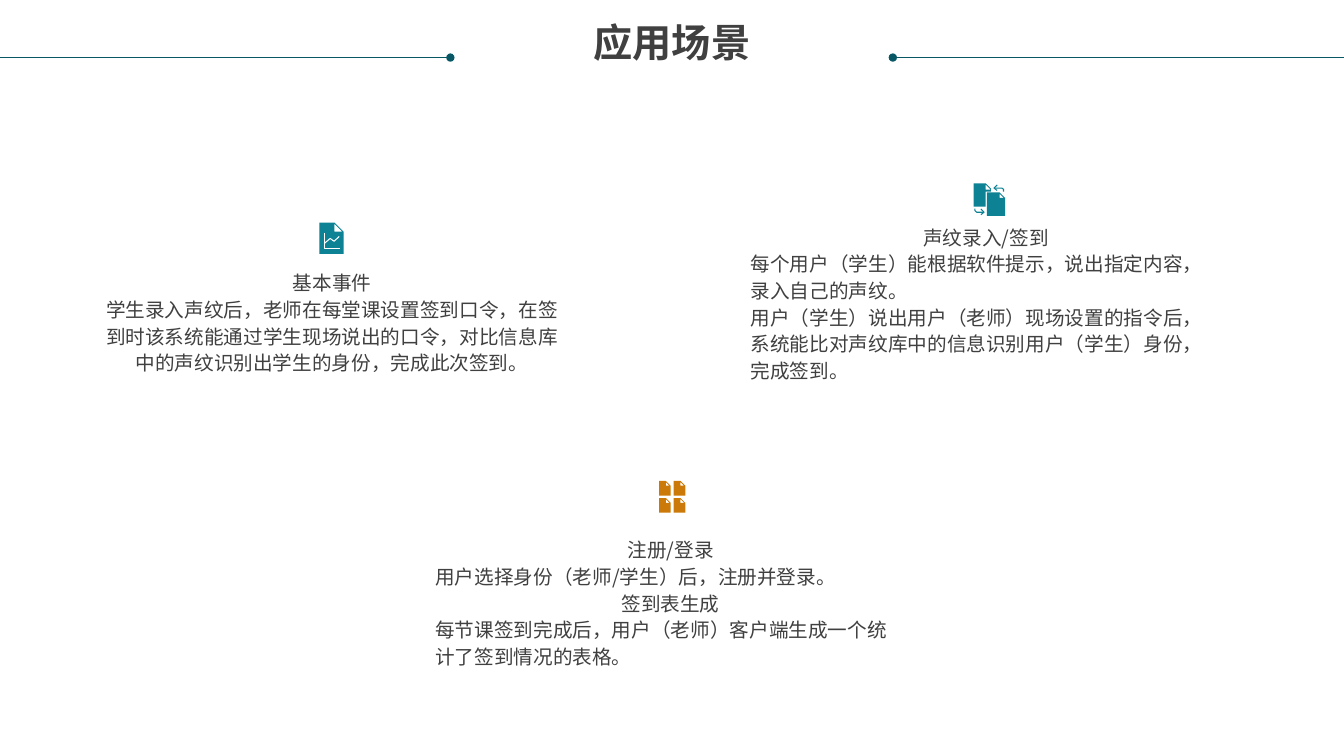
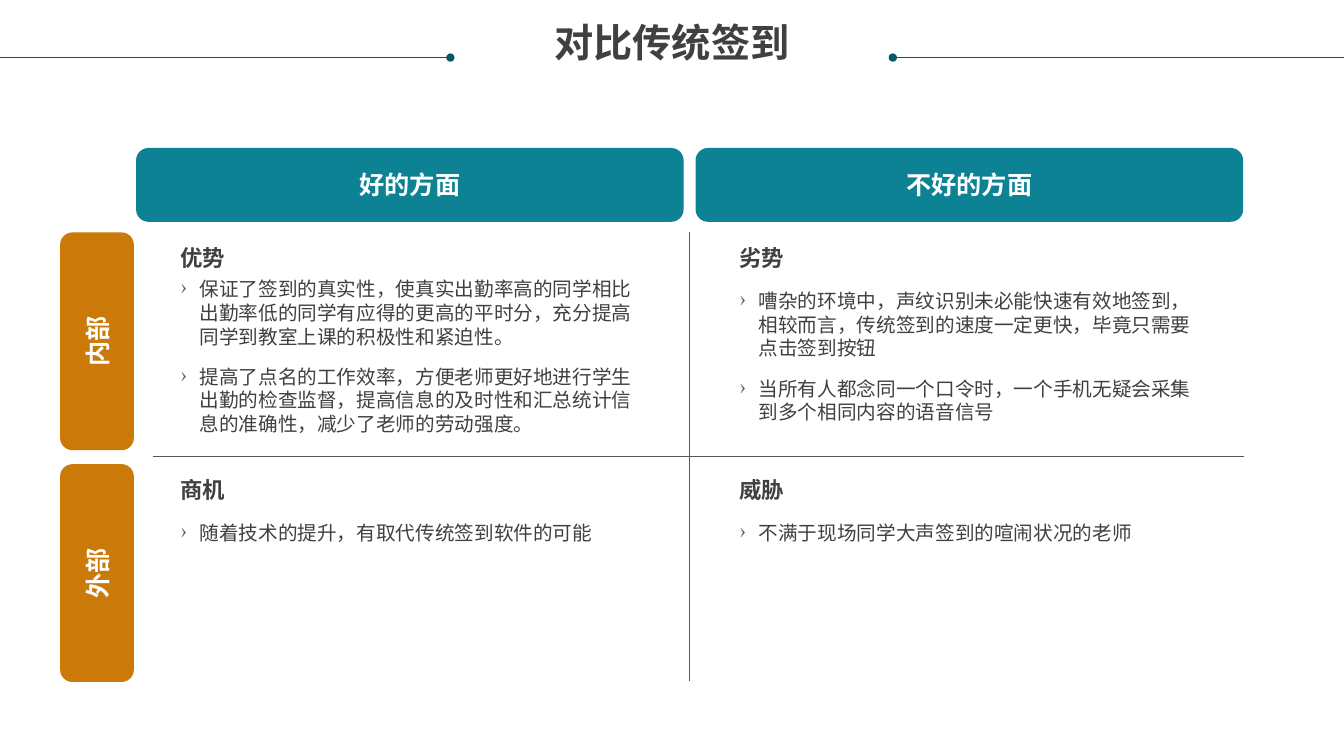
from lxml import etree
from pptx import Presentation
from pptx.dml.color import RGBColor
from pptx.enum.shapes import MSO_CONNECTOR, MSO_SHAPE
from pptx.enum.text import MSO_ANCHOR, PP_ALIGN
from pptx.oxml.ns import qn
from pptx.util import Cm, Pt

LINE = MSO_CONNECTOR.STRAIGHT
ROUNDED = MSO_SHAPE.ROUNDED_RECTANGLE
LEFT, CENTER = PP_ALIGN.LEFT, PP_ALIGN.CENTER
MIDDLE = MSO_ANCHOR.MIDDLE

# Shared colours and text formats
TEAL = RGBColor(0x0D, 0x82, 0x95)
DARK_TEAL = RGBColor(0x08, 0x57, 0x64)
ORANGE = RGBColor(0xCB, 0x7A, 0x09)
INK = RGBColor(0x40, 0x40, 0x40)
GREY = RGBColor(0x58, 0x58, 0x58)
WHITE = RGBColor(0xFF, 0xFF, 0xFF)

FONT = "Noto Sans CJK SC"
TITLE = {"size": Pt(28), "bold": True}
HEADING = {"size": Pt(16), "bold": True}
LABEL = {"size": Pt(18), "bold": True}
BODY = {"size": Pt(14), "bold": False}

SLIDE_W, SLIDE_H = 33.87, 19.05


# Text
def write(p, text, style, color=INK, **layout):
    for name, value in layout.items():
        setattr(p, name, value)
    r = p.add_run()
    r.text = text
    for name, value in {**style, "name": FONT}.items():
        setattr(r.font, name, value)
    r.font.color.rgb = color
    etree.SubElement(r._r.get_or_add_rPr(), qn("a:ea"), typeface=FONT)


def add_text(s, x, y, w, h, paragraphs, style, **layout):
    """Each paragraph is a pair of text and alignment."""
    tf = s.shapes.add_textbox(Cm(x), Cm(y), Cm(w), Cm(h)).text_frame
    tf.word_wrap = True
    for side in ("left", "right", "top", "bottom"):
        setattr(tf, f"margin_{side}", 0)
    for i, (text, alignment) in enumerate(paragraphs):
        p = tf.add_paragraph() if i else tf.paragraphs[0]
        write(p, text, style, alignment=alignment, **layout)
    return tf


def add_bullets(s, x, y, w, h, items):
    tf = add_text(s, x, y, w, h, [(item, LEFT) for item in items], BODY,
                  line_spacing=Pt(16.8), space_before=Pt(12))
    for p in tf.paragraphs:
        pPr = p._p.get_or_add_pPr()
        pPr.set("marL", str(Cm(0.48)))
        pPr.set("indent", str(-Cm(0.48)))
        clr = etree.SubElement(pPr, qn("a:buClr"))
        etree.SubElement(clr, qn("a:srgbClr"), val=str(GREY))
        etree.SubElement(pPr, qn("a:buChar"), char="›")


# Lines and shapes
def add_line(s, x1, y1, x2, y2, color, dot=None):
    line = s.shapes.add_connector(LINE, Cm(x1), Cm(y1), Cm(x2), Cm(y2))
    line.line.color.rgb = color
    line.line.width = Pt(0.5)
    if dot:
        etree.SubElement(line.line._get_or_add_ln(), qn(f"a:{dot}"), type="oval")
    etree.SubElement(line._element.spPr, qn("a:effectLst"))


def add_label(s, x, y, w, h, text, color, rotation=0):
    sp = s.shapes.add_shape(ROUNDED, Cm(x), Cm(y), Cm(w), Cm(h))
    sp.shadow.inherit = False
    sp.rotation = rotation
    sp.fill.solid()
    sp.fill.fore_color.rgb = color
    sp.line.fill.background()
    sp.text_frame.vertical_anchor = MIDDLE
    write(sp.text_frame.paragraphs[0], text, LABEL, WHITE, alignment=CENTER)


def add_outline(s, contours, close):
    contours = [[(Cm(x), Cm(y)) for x, y in points] for points in contours]
    builder = s.shapes.build_freeform(*contours[0][0], scale=1.0)
    for i, points in enumerate(contours):
        if i:
            builder.move_to(*points[0])
        builder.add_line_segments(points[1:], close=close)
    sp = builder.convert_to_shape()
    sp.shadow.inherit = False
    return sp


def add_area(s, color, *contours):
    sp = add_outline(s, contours, True)
    sp.fill.solid()
    sp.fill.fore_color.rgb = color
    sp.line.fill.background()


def add_stroke(s, color, *contours):
    sp = add_outline(s, contours, False)
    sp.fill.background()
    sp.line.color.rgb = color
    sp.line.width = Pt(0.75)


# Icons
def add_page(s, x, y, w, h, fold, color, rim=0.03):
    right, bottom, inner = x + w, y + h, x + w - fold
    add_area(s, color,
             [(x, y), (inner, y), (right, y + fold), (right, bottom), (x, bottom)],
             [(inner, y + rim), (inner, y + fold), (right - rim, y + fold)])


def add_chart_icon(s):
    add_page(s, 8.05, 5.61, 0.61, 0.79, 0.23, TEAL)
    add_stroke(s, WHITE,
               [(8.17, 5.87), (8.17, 6.26), (8.56, 6.26)],
               [(8.18, 6.13), (8.32, 6.01), (8.42, 6.08), (8.55, 5.96)])


def add_exchange_icon(s):
    add_area(s, TEAL,
             [(24.54, 4.62), (24.84, 4.62), (24.97, 4.75), (24.97, 4.83),
              (24.84, 4.83), (24.84, 5.21), (24.54, 5.21)],
             [(24.84, 4.65), (24.84, 4.78), (24.97, 4.78)])
    add_page(s, 24.87, 4.85, 0.46, 0.59, 0.14, TEAL)
    add_stroke(s, TEAL,
               [(25.29, 4.83), (25.29, 4.77), (25.25, 4.74), (25.06, 4.74)],
               [(25.13, 4.66), (25.05, 4.74), (25.13, 4.8)])
    add_stroke(s, TEAL,
               [(24.57, 5.26), (24.57, 5.31), (24.61, 5.35), (24.79, 5.35)],
               [(24.72, 5.27), (24.8, 5.35), (24.72, 5.41)])


def add_pages_icon(s):
    for x in (16.61, 16.98):
        for y in (12.12, 12.55):
            add_page(s, x, y, 0.29, 0.37, 0.12, ORANGE)


# Slides
def new_slide(prs, title):
    s = prs.slides.add_slide(prs.slide_layouts[6])
    add_line(s, 22.5, 1.45, SLIDE_W, 1.45, DARK_TEAL, "headEnd")
    add_line(s, 0, 1.45, 11.35, 1.45, DARK_TEAL, "tailEnd")
    add_text(s, 0.64, 0.6, 32.59, 1.2, [(title, CENTER)], TITLE,
             line_spacing=Pt(30))
    return s


def build_scenarios(prs):
    s = new_slide(prs, "应用场景")
    scenarios = [
        (2.44, 6.76, 2.67, [
            ("基本事件", CENTER),
            ("学生录入声纹后，老师在每堂课设置签到口令，在签到时该系统能通过学生现场说出的口令，"
             "对比信息库中的声纹识别出学生的身份，完成此次签到。", CENTER)]),
        (18.92, 5.61, 4.7, [
            ("声纹录入/签到", CENTER),
            ("每个用户（学生）能根据软件提示，说出指定内容，录入自己的声纹。", LEFT),
            ("用户（学生）说出用户（老师）现场设置的指令后，系统能比对声纹库中的信息识别"
             "用户（学生）身份，完成签到。", LEFT)]),
        (10.97, 13.49, 3.33, [
            ("注册/登录", CENTER),
            ("用户选择身份（老师/学生）后，注册并登录。", LEFT),
            ("签到表生成", CENTER),
            ("每节课签到完成后，用户（老师）客户端生成一个统计了签到情况的表格。", LEFT)]),
    ]
    for x, y, h, paragraphs in scenarios:
        add_text(s, x, y, 11.86, h, paragraphs, BODY, line_spacing=Pt(19))
    add_chart_icon(s)
    add_exchange_icon(s)
    add_pages_icon(s)


def build_comparison(prs):
    s = new_slide(prs, "对比传统签到")

    # Column and row labels
    for x, text in ((3.43, "好的方面"), (17.53, "不好的方面")):
        add_label(s, x, 3.73, 13.8, 1.86, text, TEAL)
    for y, text in ((7.67, "内部"), (13.51, "外部")):
        add_label(s, -0.3, y, 5.49, 1.86, text, ORANGE, 270)

    # Cross between the quadrants
    add_line(s, 3.86, 11.51, 31.34, 11.51, GREY)
    add_line(s, 17.37, 5.84, 17.37, 17.17, GREY)

    # Quadrants: left, heading top, list top, list height, heading, items
    left, right, top, bottom, width = 4.55, 18.64, 6.15, 12.01, 11.56
    quadrants = [
        (left, top, 6.99, 4.01, "优势", [
            "保证了签到的真实性，使真实出勤率高的同学相比出勤率低的同学有应得的更高的平时分，"
            "充分提高同学到教室上课的积极性和紧迫性。",
            "提高了点名的工作效率，方便老师更好地进行学生出勤的检查监督，"
            "提高信息的及时性和汇总统计信息的准确性，减少了老师的劳动强度。"]),
        (right, top, 7.29, 3.43, "劣势", [
            "嘈杂的环境中，声纹识别未必能快速有效地签到，相较而言，传统签到的速度一定更快，"
            "毕竟只需要点击签到按钮",
            "当所有人都念同一个口令时，一个手机无疑会采集到多个相同内容的语音信号"]),
        (left, bottom, 13.13, 0.61, "商机", ["随着技术的提升，有取代传统签到软件的可能"]),
        (right, bottom, 13.13, 0.61, "威胁", ["不满于现场同学大声签到的喧闹状况的老师"]),
    ]
    for x, y, list_y, list_h, heading, items in quadrants:
        add_text(s, x, y, width, 0.69, [(heading, LEFT)], HEADING,
                 line_spacing=Pt(19.2))
        add_bullets(s, x, list_y, width, list_h, items)


def main():
    prs = Presentation()
    prs.slide_width, prs.slide_height = Cm(SLIDE_W), Cm(SLIDE_H)
    build_scenarios(prs)
    build_comparison(prs)
    prs.save("out.pptx")


if __name__ == "__main__":
    main()
